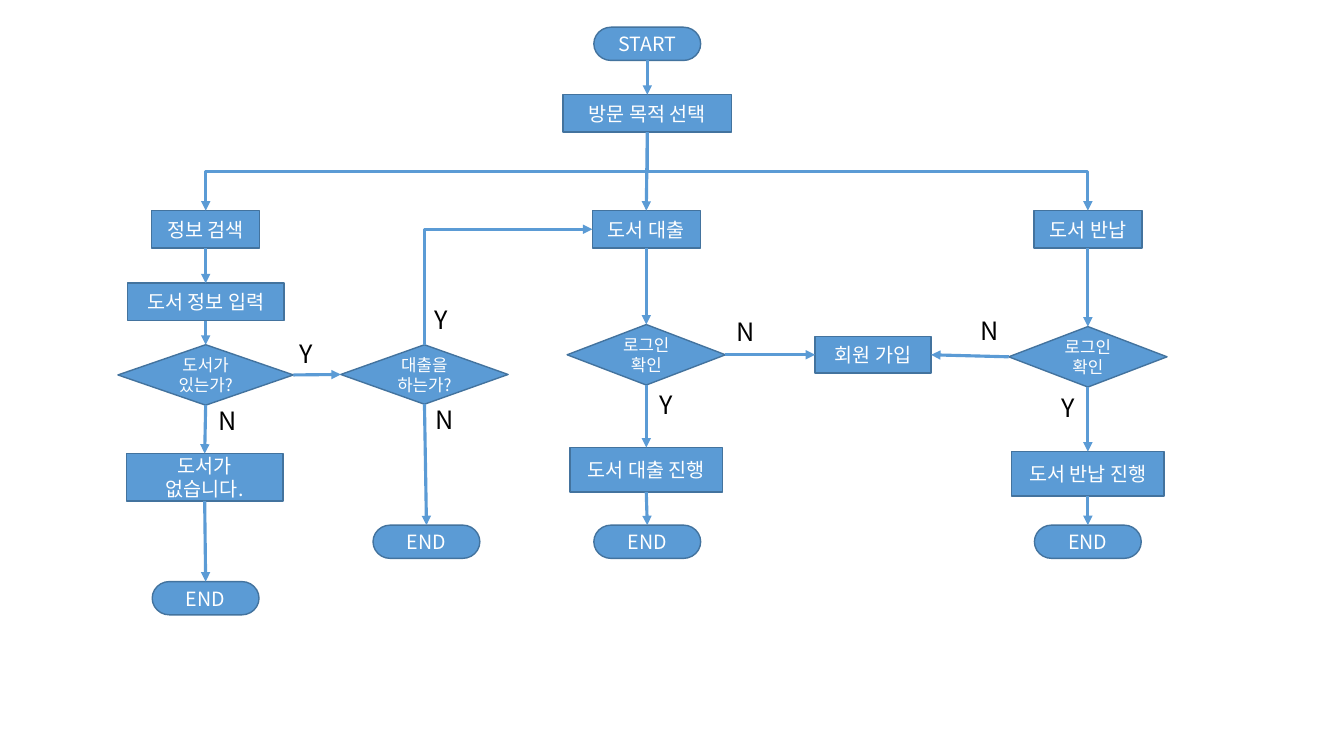
from lxml.etree import SubElement
from pptx import Presentation
from pptx.dml.color import RGBColor
from pptx.enum.shapes import MSO_CONNECTOR, MSO_SHAPE
from pptx.enum.text import MSO_ANCHOR, MSO_AUTO_SIZE, PP_ALIGN
from pptx.oxml.ns import qn
from pptx.util import Inches, Pt

BLUE = RGBColor(0x5B, 0x9B, 0xD5)
EDGE = RGBColor(0x43, 0x73, 0x9E)
WHITE = RGBColor(0xFF, 0xFF, 0xFF)
BLACK = RGBColor(0x00, 0x00, 0x00)
TOP, LEFT, BOTTOM, RIGHT = range(4)
SEARCH_X, ASK_X, LOAN_X, RETURN_X = 2.04, 4.21, 6.41, 10.79


class Flowchart:
    """Draws flowchart elements on one slide in a shared style."""

    font_name = "Noto Sans CJK KR"

    def __init__(self, slide):
        self.slide = slide

    def set_text(self, frame, text, size, color, align):
        frame.text = text
        for paragraph in frame.paragraphs:
            paragraph.alignment = align
            font = paragraph.font
            font.size = Pt(size)
            font.name = self.font_name
            font.color.rgb = color
            SubElement(font._element, qn("a:ea"), typeface=self.font_name)

    def node(self, kind, text, center, top, width, height, size=14):
        shape = self.slide.shapes.add_shape(
            kind, Inches(center - width / 2), Inches(top), Inches(width), Inches(height))
        shape.shadow.inherit = False
        shape.fill.solid()
        shape.fill.fore_color.rgb = BLUE
        shape.line.color.rgb = EDGE
        shape.line.width = Pt(1)
        shape.text_frame.vertical_anchor = MSO_ANCHOR.MIDDLE
        self.set_text(shape.text_frame, text, size, WHITE, PP_ALIGN.CENTER)
        return shape

    def terminator(self, text, center, top):
        return self.node(MSO_SHAPE.FLOWCHART_TERMINATOR, text, center, top, 1.06, 0.33)

    def process(self, text, center, top, width=1.07, height=0.37):
        return self.node(MSO_SHAPE.FLOWCHART_PROCESS, text, center, top, width, height)

    def decision(self, text, center, top, width=1.57, height=0.6):
        return self.node(MSO_SHAPE.FLOWCHART_DECISION, text, center, top, width, height, 12)

    def label(self, text, left, top):
        width = 0.39 if text == "N" else 0.34
        box = self.slide.shapes.add_textbox(
            Inches(left), Inches(top), Inches(width), Inches(0.4))
        box.text_frame.word_wrap = False
        box.text_frame.auto_size = MSO_AUTO_SIZE.SHAPE_TO_FIT_TEXT
        self.set_text(box.text_frame, text, 18, BLACK, PP_ALIGN.LEFT)

    def arrow(self, source, target, exit_side=BOTTOM, entry_side=TOP, kind=MSO_CONNECTOR.STRAIGHT):
        connector = self.slide.shapes.add_connector(kind, 0, 0, 0, 0)
        connector.begin_connect(source, exit_side)
        connector.end_connect(target, entry_side)
        connector.line.color.rgb = BLUE
        connector.line.width = Pt(2.25)
        SubElement(connector.line._get_or_add_ln(), qn("a:tailEnd"), type="triangle")
        SubElement(connector._element.spPr, qn("a:effectLst"))
        return connector

    def elbow(self, source, target, degrees, flip_h, flip_v=False,
              preset="bentConnector3", sides=(BOTTOM, TOP)):
        connector = self.arrow(source, target, *sides, kind=MSO_CONNECTOR.ELBOW)
        left, top, width, height = connector.left, connector.top, connector.width, connector.height
        connector.left = left + (width - height) // 2
        connector.top = top + (height - width) // 2
        connector.width, connector.height = height, width
        properties = connector._element.spPr
        frame = properties.find(qn("a:xfrm"))
        frame.set("rot", str(degrees * 60000))
        frame.set("flipH", str(int(flip_h)))
        frame.set("flipV", str(int(flip_v)))
        properties.find(qn("a:prstGeom")).set("prst", preset)


deck = Presentation()
deck.slide_width, deck.slide_height = Inches(13.33), Inches(7.5)
chart = Flowchart(deck.slides.add_slide(deck.slide_layouts[6]))

start = chart.terminator("START", 6.42, 0.27)
purpose = chart.process("방문 목적 선택", 6.42, 0.94, 1.67)

search = chart.process("정보 검색", SEARCH_X, 2.09)
book_input = chart.process("도서 정보 입력", SEARCH_X, 2.81, 1.55)
book_exists = chart.decision("도서가 있는가?", SEARCH_X, 3.42, 1.74)
no_book = chart.process("도서가\n없습니다.", 2.03, 4.5, 1.55, 0.47)
search_end = chart.terminator("END", SEARCH_X, 5.77)

wants_loan = chart.decision("대출을\n하는가?", ASK_X, 3.42, 1.66, 0.59)
ask_end = chart.terminator("END", 4.23, 5.21)

loan = chart.process("도서 대출", LOAN_X, 2.09)
loan_login = chart.decision("로그인 확인", LOAN_X, 3.22)
loan_progress = chart.process("도서 대출 진행", LOAN_X, 4.44, 1.51, 0.44)
loan_end = chart.terminator("END", 6.42, 5.21)

give_back = chart.process("도서 반납", RETURN_X, 2.09)
return_login = chart.decision("로그인 확인", RETURN_X, 3.24)
return_progress = chart.process("도서 반납 진행", RETURN_X, 4.48, 1.51, 0.44)
return_end = chart.terminator("END", RETURN_X, 5.21)

sign_up = chart.node(MSO_SHAPE.RECTANGLE, "회원 가입", 8.66, 3.34, 1.15, 0.36)

for flow in (
    (start, purpose, loan, loan_login, loan_progress, loan_end),
    (search, book_input, book_exists, no_book, search_end),
    (wants_loan, ask_end),
    (give_back, return_login, return_progress, return_end),
):
    for source, target in zip(flow, flow[1:]):
        chart.arrow(source, target)

chart.arrow(book_exists, wants_loan, RIGHT, LEFT)
chart.arrow(loan_login, sign_up, RIGHT, LEFT)
chart.arrow(return_login, sign_up, LEFT, RIGHT)
chart.elbow(purpose, search, 90, False)
chart.elbow(purpose, give_back, 270, True)
chart.elbow(wants_loan, loan, 90, True, True, "bentConnector2", (TOP, LEFT))

for answer, left, top in (
    ("Y", 2.87, 3.31), ("N", 2.07, 3.97),
    ("Y", 4.21, 2.97), ("N", 4.22, 3.96),
    ("Y", 6.44, 3.81), ("N", 7.21, 3.09),
    ("Y", 10.43, 3.84), ("N", 9.63, 3.08),
):
    chart.label(answer, left, top)

deck.save("out.pptx")
